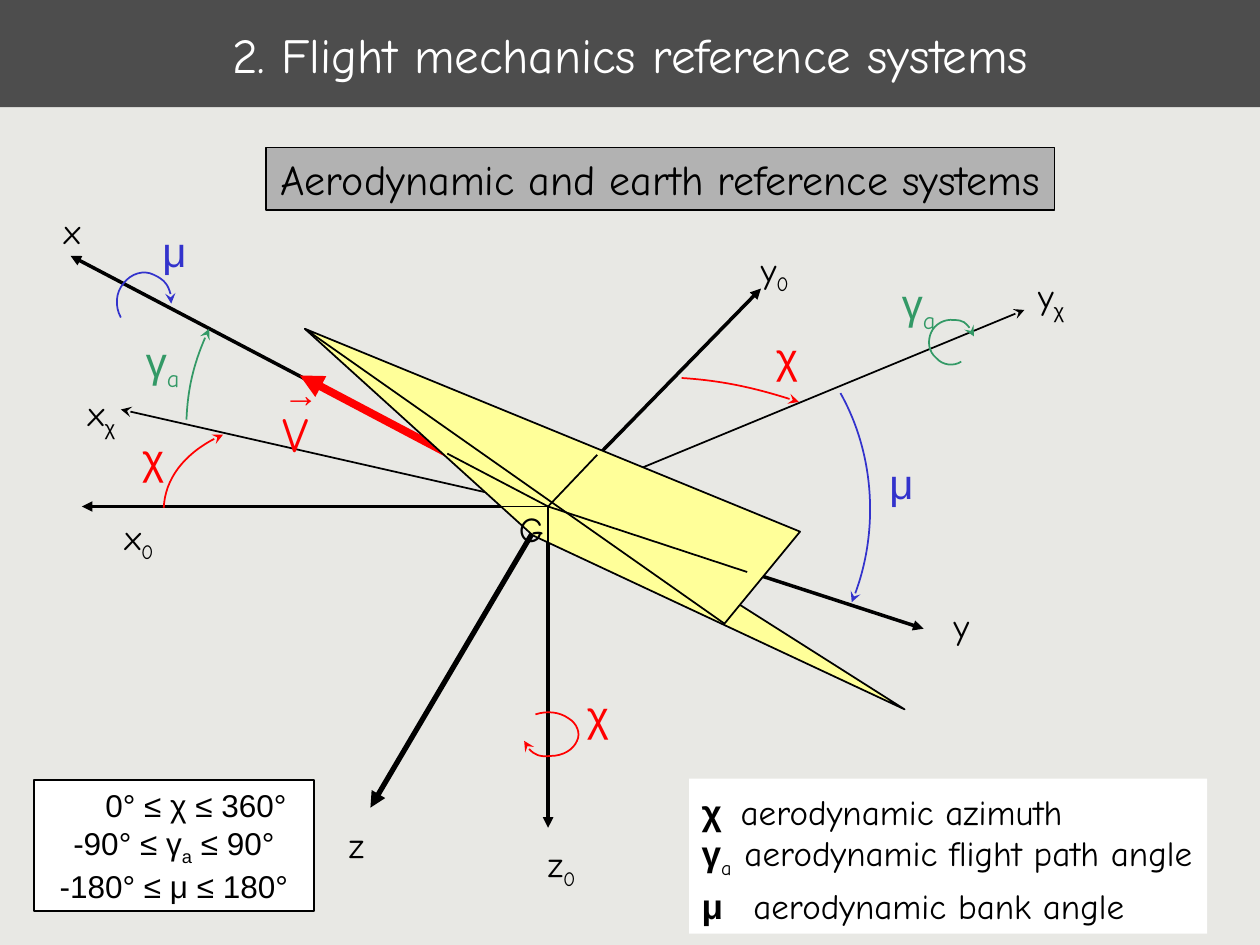
from lxml.etree import SubElement
from pptx import Presentation
from pptx.dml.color import RGBColor
from pptx.enum.shapes import MSO_CONNECTOR, MSO_SHAPE
from pptx.enum.text import MSO_ANCHOR, PP_ALIGN
from pptx.oxml.ns import qn
from pptx.util import Pt

PX = 9144  # 100 px to the inch
LATIN, GREEK = "Comic Neue", "Arial"
BLACK, WHITE, RED, GREEN, BLUE = "000000", "FFFFFF", "FF0000", "339966", "3333CC"


def rgb(value):
    return RGBColor.from_string(value)


def px(*lengths):
    return [length * PX for length in lengths]


def font_for(text):
    return GREEK if text[0] in "χγμ→" else LATIN


def style_font(font, size, color, name):
    font.size, font.name = Pt(size), name
    font.color.rgb = rgb(color)


def prepare_frame(shape, margins, anchor=MSO_ANCHOR.TOP):
    frame = shape.text_frame
    frame.word_wrap = True
    frame.vertical_anchor = anchor
    (frame.margin_left, frame.margin_top,
     frame.margin_right, frame.margin_bottom) = px(*margins)
    return frame


def add_subscript(paragraph, text):
    run = paragraph.add_run()
    run.text = text
    run._r.get_or_add_rPr().set("baseline", "-25000")
    return run


def add_panel(slide, box, fill, outline=None):
    panel = slide.shapes.add_shape(MSO_SHAPE.RECTANGLE, *px(*box))
    panel.shadow.inherit = False
    panel.fill.solid()
    panel.fill.fore_color.rgb = rgb(fill)
    if outline:
        panel.line.color.rgb = rgb(outline)
        panel.line.width = Pt(1)
    else:
        panel.line.fill.background()
    return panel


def add_heading(slide, box, text, size, color, fill, outline=None):
    panel = add_panel(slide, box, fill, outline)
    paragraph = prepare_frame(panel, (0, 5, 0, 5), MSO_ANCHOR.MIDDLE).paragraphs[0]
    paragraph.text = text
    paragraph.alignment = PP_ALIGN.CENTER
    style_font(paragraph.font, size, color, LATIN)


def add_angle_ranges(slide, box):
    panel = add_panel(slide, box, WHITE, BLACK)
    frame = prepare_frame(panel, (10, 5, 10, 5), MSO_ANCHOR.MIDDLE)
    ranges = [("0° ≤ χ", "", " ≤ 360°", 35),
              ("-90° ≤ γ", "a", " ≤ 90°", 0),
              ("-180° ≤ μ", "", " ≤ 180°", 0)]
    for row, (lower, subscript, upper, indent) in enumerate(ranges):
        paragraph = frame.add_paragraph() if row else frame.paragraphs[0]
        paragraph.alignment = PP_ALIGN.CENTER
        paragraph._p.get_or_add_pPr().set("marL", str(indent * PX))
        paragraph.add_run().text = lower
        if subscript:
            add_subscript(paragraph, subscript)
        paragraph.add_run().text = upper
        style_font(paragraph.font, 18, BLACK, GREEK)


def add_legend(slide, box):
    frame = prepare_frame(add_panel(slide, box, WHITE), (10, 5, 0, 5))
    entries = [("χ", "", "aerodynamic azimuth", 31),
               ("γ", "a", "aerodynamic flight path angle", 34),
               ("μ", "", "aerodynamic bank angle", 41)]
    for row, (symbol, subscript, meaning, tab) in enumerate(entries):
        paragraph = frame.add_paragraph() if row else frame.paragraphs[0]
        paragraph.alignment = PP_ALIGN.LEFT
        paragraph.line_spacing = Pt(27)
        stops = SubElement(paragraph._p.get_or_add_pPr(), qn("a:tabLst"))
        SubElement(stops, qn("a:tab"), pos=str(tab * PX), algn="l")
        style_font(paragraph.font, 20, BLACK, LATIN)
        symbol_run = paragraph.add_run()
        symbol_run.text = symbol
        symbol_run.font.name, symbol_run.font.bold = GREEK, True
        if subscript:
            add_subscript(paragraph, subscript)
        paragraph.add_run().text = "\t" + meaning


def style_line(shape, color, width, arrowhead=None):
    shape.line.color.rgb = rgb(color)
    shape.line.width = Pt(width)
    if arrowhead:
        SubElement(shape.line._get_or_add_ln(), qn("a:tailEnd"), type=arrowhead)


def add_line(slide, origin, start, end, color=BLACK, width=1, arrowhead=None):
    left, top = origin
    line = slide.shapes.add_connector(
        MSO_CONNECTOR.STRAIGHT,
        *px(left + start[0], top + start[1], left + end[0], top + end[1]))
    style_line(line, color, width, arrowhead)
    SubElement(line._element.spPr, qn("a:effectLst"))


def add_outline(slide, origin, points, close):
    builder = slide.shapes.build_freeform(*points[0], scale=PX)
    builder.add_line_segments(points[1:], close=close)
    outline = builder.convert_to_shape(*px(*origin))
    outline.shadow.inherit = False
    return outline


def add_arc(slide, origin, points, color):
    """Draw a Bézier arrow: a start, then two controls and an end per curve."""
    arc = add_outline(slide, origin, points, close=False)
    arc.fill.background()
    style_line(arc, color, 1, "stealth")
    route = arc._element.find(".//" + qn("a:path"))
    segments = route.findall(qn("a:lnTo"))
    for first in range(0, len(segments), 3):
        curve = SubElement(route, qn("a:cubicBezTo"))
        for segment in segments[first:first + 3]:
            curve.append(segment[0])
            route.remove(segment)


def add_wing(slide, origin, points):
    wing = add_outline(slide, origin, points, close=True)
    wing.fill.solid()
    wing.fill.fore_color.rgb = rgb("FFFF99")
    style_line(wing, BLACK, 1)


def add_label(slide, origin, at, text, subscript="", size=20, color=BLACK):
    left, top = origin
    box = slide.shapes.add_textbox(*px(left + at[0], top + at[1], 60, 50))
    paragraph = prepare_frame(box, (10, 5, 0, 5)).paragraphs[0]
    style_font(paragraph.font, size, color, font_for(text))
    paragraph.add_run().text = text
    if subscript:
        add_subscript(paragraph, subscript).font.name = font_for(subscript)


def add_axes_diagram(slide, box):
    origin = box[:2]
    center = (435, 302)
    axes = [((56, 103), 2, "triangle"), ((733, 399), 2, "triangle"),
            ((294, 541), 3, "triangle"), ((435, 557), 2, "triangle"),
            ((65, 302), 2, "triangle"), ((604, 129), 2, "triangle"),
            ((96, 225), 1, "stealth"), ((813, 146), 1, "stealth")]
    for tip, width, arrowhead in axes:
        add_line(slide, origin, center, tip, BLACK, width, arrowhead)
    add_line(slide, origin, center, (238, 198), RED, 4.5, "triangle")

    arcs = [
        (RED, [(541, 200), (573, 202), (604, 209), (634, 219)]),
        (RED, [(130, 303), (131, 280), (149, 257), (177, 245)]),
        (GREEN, [(148, 233), (149, 208), (155, 184), (166, 161)]),
        (BLUE, [(667, 212), (694, 260), (698, 326), (676, 378)]),
        (GREEN, [(763, 187), (757, 191), (748, 190), (743, 184),
                 (737, 179), (736, 171), (739, 164),
                 (742, 157), (750, 153), (757, 154),
                 (765, 154), (771, 160), (773, 167)]),
        (BLUE, [(96, 152), (91, 143), (92, 132), (98, 125),
                (104, 117), (114, 114), (122, 118),
                (131, 122), (137, 131), (136, 141)]),
        (RED, [(425, 467), (434, 464), (444, 465), (451, 470),
               (458, 474), (461, 482), (458, 488),
               (455, 495), (447, 500), (437, 500),
               (428, 501), (419, 497), (416, 488)]),
    ]
    for color, points in arcs:
        add_arc(slide, origin, points, color)

    nose = (242, 161)
    add_wing(slide, origin, [(718, 463), (423, 325), nose])
    add_wing(slide, origin, [nose, (635, 322), (575, 395)])
    for end in [(389, 302), (474, 261), (435, 330), (593, 354), (355, 260)]:
        add_line(slide, origin, center, end)

    axis_labels = [((267, 549), "z", ""), ((41, 61), "x", ""),
                   ((747, 375), "y", ""), ((425, 564), "z", "0"),
                   ((89, 304), "x", "0"), ((594, 92), "y", "0"),
                   ((60, 206), "x", "χ"), ((814, 113), "y", "χ"),
                   ((402, 298), "G", "")]
    for at, text, subscript in axis_labels:
        add_label(slide, origin, at, text, subscript)

    angle_labels = [((606, 158), "χ", "", RED), ((456, 442), "χ", "", RED),
                    ((103, 238), "χ", "", RED), ((706, 115), "γ", "a", GREEN),
                    ((106, 161), "γ", "a", GREEN), ((696, 258), "μ", "", BLUE),
                    ((119, 74), "μ", "", BLUE)]
    for at, text, subscript, color in angle_labels:
        add_label(slide, origin, at, text, subscript, 24, color)

    add_label(slide, origin, (215, 191), "→", color=RED)
    add_label(slide, origin, (214, 215), "V", size=28, color=RED)


def main():
    deck = Presentation()
    deck.slide_width, deck.slide_height = px(1000, 750)
    slide = deck.slides.add_slide(deck.slide_layouts[6])
    slide.background.fill.solid()
    slide.background.fill.fore_color.rgb = rgb("E8E8E4")
    add_heading(slide, (0, 0, 1000, 85), "2. Flight mechanics reference systems",
                28, WHITE, "4D4D4D")
    add_angle_ranges(slide, (27, 619, 222, 104))
    add_legend(slide, (547, 618, 411, 123))
    add_axes_diagram(slide, (0, 100, 1000, 650))
    add_heading(slide, (211, 117, 626, 50), "Aerodynamic and earth reference systems",
                24, BLACK, "B2B2B2", BLACK)
    deck.save("out.pptx")


if __name__ == "__main__":
    main()
